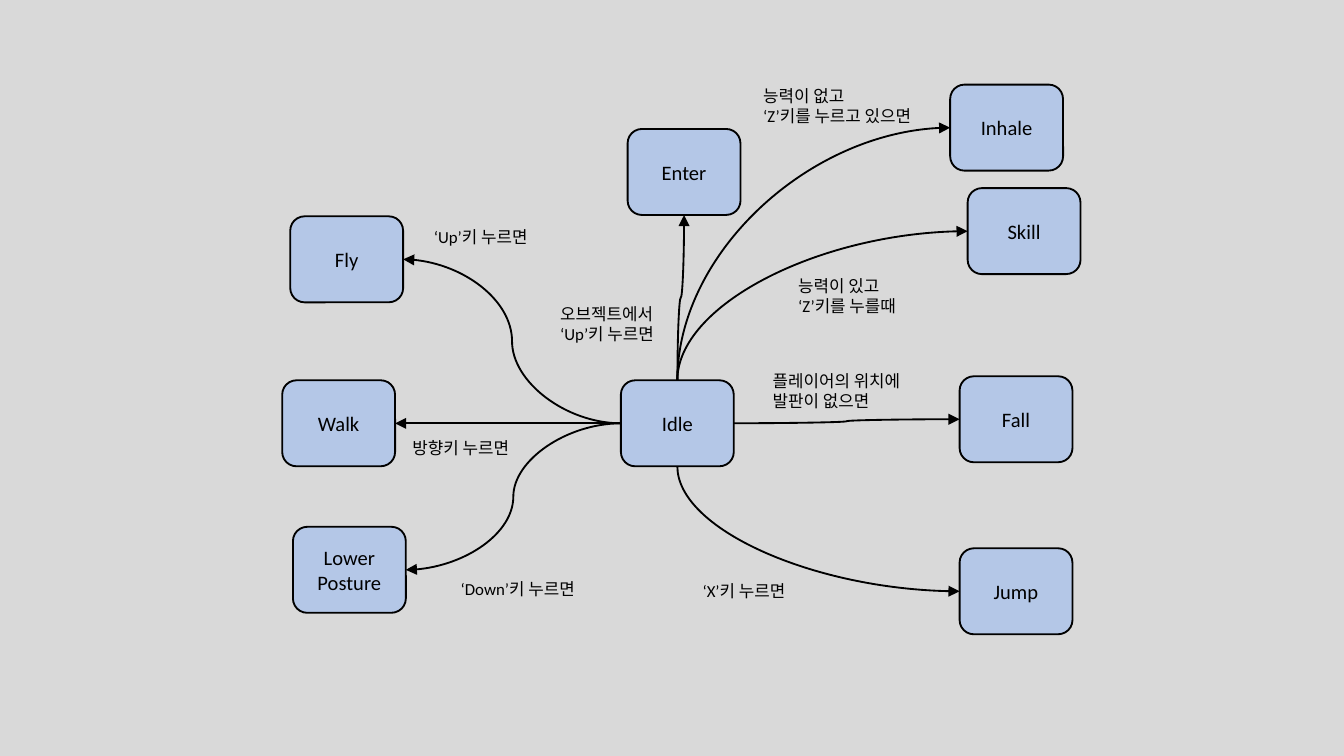
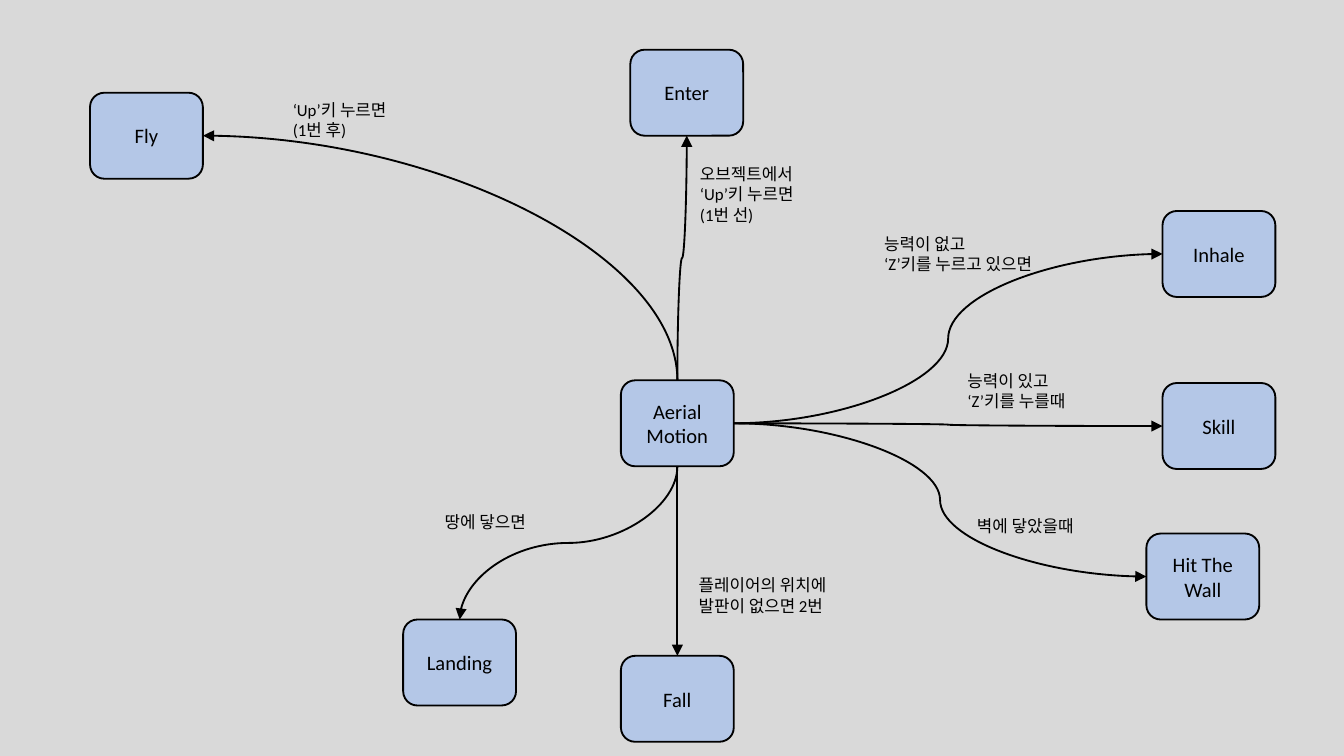
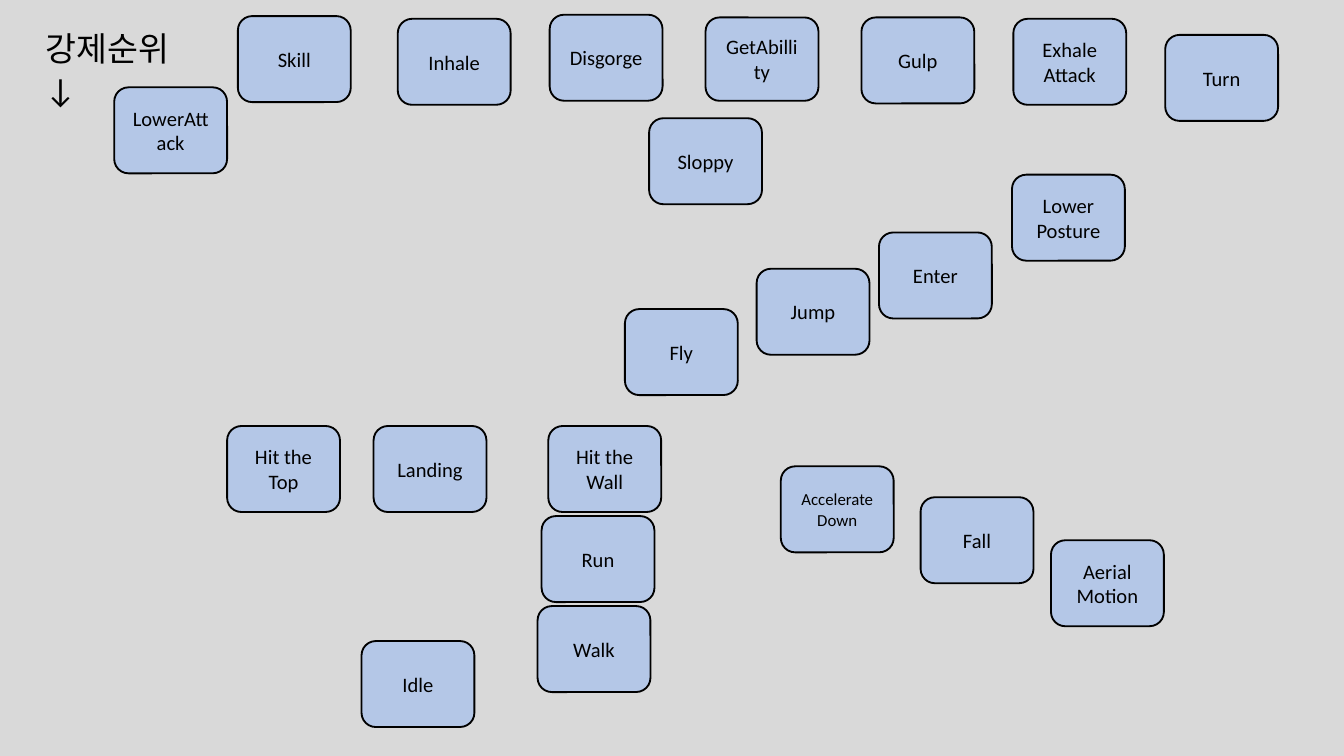
from pptx import Presentation
from pptx.dml.color import RGBColor
from pptx.enum.shapes import MSO_CONNECTOR as CONN, MSO_SHAPE as SHAPE
from pptx.enum.text import MSO_ANCHOR as ANCHOR, MSO_AUTO_SIZE as FIT, PP_ALIGN as ALIGN
from pptx.oxml.ns import qn
from pptx.util import Inches, Pt
from lxml.etree import SubElement

W, H = Inches(10), Inches(5.625)
CELL = W // 100
BACK, BLUE, BLACK = "D9D9D9", "B4C7E7", "000000"
BOX_COLS, BOX_ROWS = 8.4, 6.4
SITES = {"top": 0, "left": 1, "bottom": 2, "right": 3}
UPRIGHT = ("top", "bottom")
BOX_FONT = {"name": "Calibri", "size": Pt(11)}
LABEL_FONT = {"name": "Calibri", "size": Pt(9)}
TITLE_FONT = {"name": "Calibri", "size": Pt(18)}

IDLE_STATES = [
    ("Idle", 46.2, 28.3), ("Walk", 21, 28.3), ("Jump", 71.4, 40.8),
    ("Skill", 72, 14), ("Fly", 21.6, 16.1), ("Lower\nPosture", 21.8, 39.2),
    ("Fall", 71.4, 28), ("Enter", 46.7, 9.6), ("Inhale", 70.7, 6.3),
]
IDLE_MOVES = [
    ("left", "Lower\nPosture", "right"), ("left", "Walk", "right"),
    ("left", "Fly", "right"), ("top", "Enter", "bottom"),
    ("right", "Fall", "left"), ("top", "Skill", "left"),
    ("bottom", "Jump", "left"), ("top", "Inhale", "left"),
]
IDLE_LABELS = [
    ("‘Down’키 누르면", 33.3, 42.6, 17.6),
    ("‘Up’키 누르면", 31.3, 16.4, 13.1),
    ("방향키 누르면", 29.7, 32.1, 13.1),
    ("오브젝트에서\n‘Up’키 누르면", 40.7, 22.1, 13.1),
    ("플레이어의 위치에 발판이 없으면", 56.5, 27.1, 14.2),
    ("‘X’키 누르면", 51.3, 42.7, 14.2),
    ("능력이 없고\n‘Z’키를 누르고 있으면", 55.8, 5.9, 14.2),
    ("능력이 있고\n‘Z’키를 누를때", 58.4, 20, 14.2),
]
AERIAL_STATES = [
    ("Aerial\nMotion", 46.2, 28.3), ("Inhale", 86.5, 15.7), ("Fall", 46.2, 48.8),
    ("Enter", 46.9, 3.7), ("Fly", 6.7, 6.9), ("Hit The Wall", 85.3, 39.7),
    ("Landing", 30, 46.1), ("Skill", 86.5, 28.5),
]
AERIAL_MOVES = [
    ("top", "Enter", "bottom"), ("bottom", "Fall", "top"),
    ("right", "Inhale", "left"), ("top", "Fly", "right"),
    ("right", "Hit The Wall", "left"), ("bottom", "Landing", "top"),
    ("right", "Skill", "left"),
]
AERIAL_LABELS = [
    ("오브젝트에서\n‘Up’키 누르면\n(1번 선)", 51.1, 11.7, 13.1),
    ("플레이어의 위치에 발판이 없으면 2번", 51, 42.3, 14.2),
    ("능력이 없고\n‘Z’키를 누르고 있으면", 64.8, 16.9, 14.2),
    ("‘Up’키 누르면\n(1번 후)", 20.8, 6.9, 13.1),
    ("땅에 닿으면", 32.1, 37.6, 17.6),
    ("벽에 닿았을때", 71.7, 37.9, 14.2),
    ("능력이 있고\n‘Z’키를 누를때", 71, 27.1, 14.2),
]
PRIORITY_STATES = [
    ("Idle", 26.9, 47.7), ("Walk", 40, 45.1), ("Jump", 56.3, 20),
    ("Skill", 17.7, 1.2), ("Fly", 46.5, 23), ("Lower\nPosture", 75.3, 13),
    ("Enter", 65.4, 17.3), ("Inhale", 29.6, 1.4), ("Fall", 68.5, 37),
    ("LowerAttack", 8.5, 6.5), ("Gulp", 64.1, 1.3), ("Hit the Wall", 40.8, 31.7),
    ("Sloppy", 48.3, 8.8), ("Run", 40.3, 38.4), ("Landing", 27.8, 31.7),
    ("Disgorge", 40.9, 1.1), ("Exhale\nAttack", 75.4, 1.4),
    ("Aerial\nMotion", 78.2, 40.2), ("Turn", 86.7, 2.6), ("Hit the Top", 16.9, 31.7),
]


def color(hex_string):
    """Return the colour for a hex string."""
    return RGBColor.from_string(hex_string)


def cells(*counts):
    """Turn grid counts into lengths."""
    return [round(n * CELL) for n in counts]


def write(tf, text, font, align):
    """Fill a text frame, one paragraph per line."""
    tf.word_wrap = True
    tf.text = text
    for p in tf.paragraphs:
        p.alignment = align
        for r in p.runs:
            for key, value in font.items():
                setattr(r.font, key, value)
            r.font.color.rgb = color(BLACK)


def style_line(line):
    """Give a line the shared colour and width."""
    line.color.rgb = color(BLACK)
    line.width = Pt(1)


def add_state(s, text, col, row, rows=BOX_ROWS, font=BOX_FONT):
    """Draw one rounded state box."""
    sp = s.shapes.add_shape(SHAPE.ROUNDED_RECTANGLE, *cells(col, row, BOX_COLS, rows))
    sp.shadow.inherit = False
    sp.fill.solid()
    sp.fill.fore_color.rgb = color(BLUE)
    style_line(sp.line)
    sp.text_frame.vertical_anchor = ANCHOR.MIDDLE
    write(sp.text_frame, text, font, ALIGN.CENTER)
    return sp


def add_label(s, text, col, row, cols, font=LABEL_FONT):
    """Place a text box whose height follows its lines."""
    rows = 1 + text.count("\n")
    height = Inches(0.1) + round(rows * font["size"] * 1.22)
    sp = s.shapes.add_textbox(*cells(col, row, cols), height)
    write(sp.text_frame, text, font, ALIGN.LEFT)
    sp.text_frame.auto_size = FIT.SHAPE_TO_FIT_TEXT


def turn_upright(c):
    """Rotate a curve so that it leaves its start vertically."""
    dx, dy = c.end_x - c.begin_x, c.end_y - c.begin_y
    mid_x, mid_y = c.begin_x + dx // 2, c.begin_y + dy // 2
    rise = dx if dy < 0 else -dx
    c.begin_x, c.end_x = mid_x - abs(dy) // 2, mid_x + abs(dy) // 2
    c.begin_y, c.end_y = mid_y - rise // 2, mid_y + rise // 2
    angle = 270 if dy < 0 else 90
    c._element.spPr.find(qn("a:xfrm")).set("rot", str(angle * 60000))


def add_move(s, source, side, target, target_side):
    """Join two states with a curved arrow."""
    c = s.shapes.add_connector(CONN.CURVE, 0, 0, 0, 0)
    c.begin_connect(source, SITES[side])
    c.end_connect(target, SITES[target_side])
    spPr = c._element.spPr
    if side in UPRIGHT:
        turn_upright(c)
    if (side in UPRIGHT) != (target_side in UPRIGHT):
        spPr.find(qn("a:prstGeom")).set("prst", "curvedConnector2")
    style_line(c.line)
    SubElement(spPr.find(qn("a:ln")), qn("a:tailEnd"), type="triangle")
    SubElement(spPr, qn("a:effectLst"))


def add_slide(prs):
    """Add a blank slide."""
    return prs.slides.add_slide(prs.slide_layouts[6])


def add_diagram(prs, states, moves, labels):
    """Build a state diagram whose moves start at the first state."""
    s = add_slide(prs)
    boxes = {state[0]: add_state(s, *state) for state in states}
    start = boxes[states[0][0]]
    for side, target, target_side in moves:
        add_move(s, start, side, boxes[target], target_side)
    for label in labels:
        add_label(s, *label)


def add_priority(prs):
    """Build the overview of states by priority."""
    s = add_slide(prs)
    for state in PRIORITY_STATES:
        add_state(s, *state)
    add_state(s, "GetAbillity", 52.5, 1.3, rows=6.2)
    add_state(s, "Accelerate Down", 58.1, 34.7, font=LABEL_FONT)
    add_label(s, "강제순위\n↓", 2.4, 1.6, 15.3, TITLE_FONT)


def main():
    """Build and save the presentation."""
    prs = Presentation()
    prs.slide_width, prs.slide_height = W, H
    fill = prs.slide_master.background.fill
    fill.solid()
    fill.fore_color.rgb = color(BACK)
    add_diagram(prs, IDLE_STATES, IDLE_MOVES, IDLE_LABELS)
    add_diagram(prs, AERIAL_STATES, AERIAL_MOVES, AERIAL_LABELS)
    add_priority(prs)
    prs.save("out.pptx")


main()
